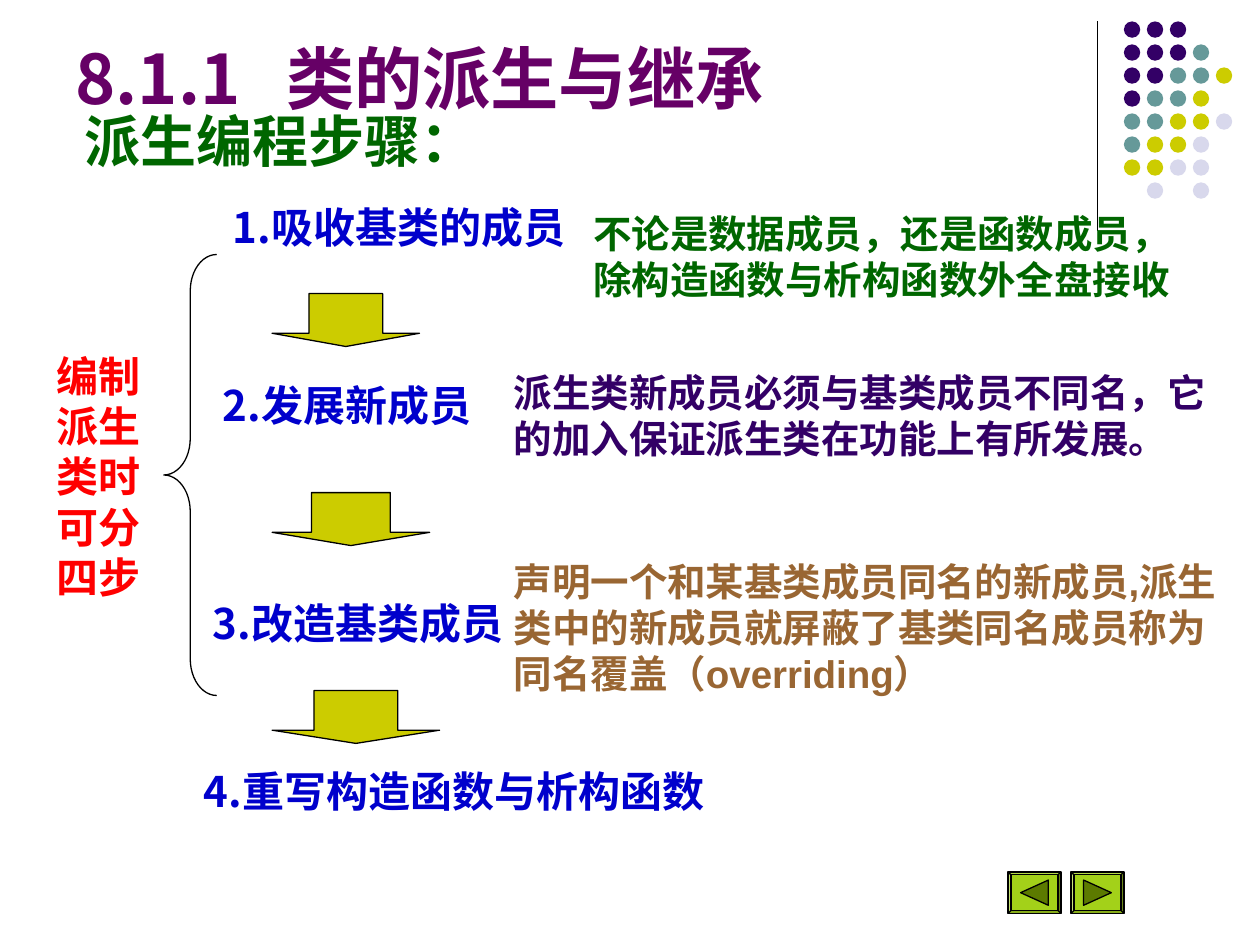
from dataclasses import dataclass
from typing import NamedTuple

from lxml import etree
from pptx import Presentation
from pptx.dml.color import RGBColor
from pptx.enum import shapes, text
from pptx.oxml import ns
from pptx.util import Inches, Pt


@dataclass(frozen=True)
class Theme:
    purple: str = "660066"
    violet: str = "330066"
    green: str = "006600"
    blue: str = "0000CC"
    red: str = "FF0000"
    brown: str = "996633"
    teal: str = "669999"
    olive: str = "CCCC00"
    lilac: str = "D8D8EC"
    lime: str = "99CC00"
    dark_lime: str = "5C7A00"
    black: str = "000000"
    heading: str = "Noto Sans CJK SC"
    body: str = "Arial"
    title_size: float = 39
    subtitle_size: float = 32
    step_size: float = 24
    note_size: float = 22
    line_width: float = 0.75


class Box(NamedTuple):
    left: float
    top: float
    width: float
    height: float

    def lengths(self):
        return [Inches(side) for side in self]


class Label(NamedTuple):
    words: str
    box: Box
    size: float
    color: str
    font: str
    wrap: bool = True


THEME = Theme()
LABELS = [
    Label("派生编程步骤：", Box(0.57, 0.8, 3.31, 0.64),
          THEME.subtitle_size, THEME.green, THEME.body, False),
    Label("编制派生类时可分四步", Box(0.35, 2.73, 0.88, 2.1),
          THEME.step_size, THEME.red, THEME.heading),
    Label("不论是数据成员，还是函数成员，除构造函数与析构函数外全盘接收",
          Box(4.61, 1.62, 4.9, 0.84), THEME.note_size, THEME.green, THEME.body),
    Label("派生类新成员必须与基类成员不同名，它的加入保证派生类在功能上有所发展。",
          Box(3.98, 2.88, 5.69, 0.84), THEME.note_size, THEME.violet, THEME.body),
    Label("声明一个和某基类成员同名的新成员,派生类中的新成员就屏蔽了基类同名成员称为同名覆盖（overriding）",
          Box(3.98, 4.38, 5.93, 1.2), THEME.note_size, THEME.brown, THEME.body),
]
STEPS = [
    ("1.吸收基类的成员", Box(1.75, 1.55, 2.99, 0.5)),
    ("2.发展新成员", Box(1.67, 2.96, 2.32, 0.5)),
    ("3.改造基类成员", Box(1.59, 4.69, 2.66, 0.5)),
    ("4.重写构造函数与析构函数", Box(1.52, 6.03, 4.32, 0.5)),
]
ARROWS = [Box(2.16, 2.33, 1.17, 0.42), Box(2.16, 3.91, 1.25, 0.42),
          Box(2.16, 5.48, 1.33, 0.42)]
DOT_ROWS = ["VVV", "VVVT", "VVTTO", "VTTO", "TTOOL", "TOOL", "OOLL", " L L"]
DOT_COLORS = {"V": THEME.violet, "T": THEME.teal,
              "O": THEME.olive, "L": THEME.lilac}
DOT_PITCH = 0.73 / 4


def write(frame, words: str, *, size: float, color: str, font: str,
          wrap: bool = True, anchor=text.MSO_ANCHOR.TOP, tab=None) -> None:
    frame.word_wrap = wrap
    frame.vertical_anchor = anchor
    paragraph = frame.paragraphs[0]
    paragraph.alignment = text.PP_ALIGN.LEFT
    if tab is not None:
        stops = etree.SubElement(paragraph._p.get_or_add_pPr(), ns.qn("a:tabLst"))
        etree.SubElement(stops, ns.qn("a:tab"), pos=str(Inches(tab)), algn="l")
    run = paragraph.add_run()
    run.text = words
    run.font.size = Pt(size)
    run.font.bold = True
    run.font.color.rgb = RGBColor.from_string(color)
    run.font.name = font
    # Chinese glyphs always come from the heading face
    etree.SubElement(run._r.get_or_add_rPr(), ns.qn("a:ea"), typeface=THEME.heading)


def add_label(slide, label: Label) -> None:
    textbox = slide.shapes.add_textbox(*label.box.lengths())
    write(textbox.text_frame, label.words, size=label.size, color=label.color,
          font=label.font, wrap=label.wrap)


def paint(shape, fill=None, line=None) -> None:
    shape.shadow.inherit = False
    if fill:
        shape.fill.solid()
        shape.fill.fore_color.rgb = RGBColor.from_string(fill)
    else:
        shape.fill.background()
    if line:
        shape.line.color.rgb = RGBColor.from_string(line)
        shape.line.width = Pt(THEME.line_width)
    else:
        shape.line.fill.background()


def add_preset(slide, kind, box: Box, fill=None, line=None, adjust=()):
    shape = slide.shapes.add_shape(kind, *box.lengths())
    for index, value in enumerate(adjust):
        shape.adjustments[index] = value
    paint(shape, fill, line)
    return shape


def add_nav_button(slide, left: float, direction: int) -> None:
    """Bevelled button; direction is -1 for back and 1 for forward."""
    box = Box(left, 6.92, 0.42, 0.33)
    button = add_preset(slide, shapes.MSO_SHAPE.BEVEL, box, THEME.lime,
                        THEME.black, [0.07])
    color = button.fill._xPr.find(".//" + ns.qn("a:srgbClr"))
    etree.SubElement(color, ns.qn("a:alpha"), val="90000")
    middle_x, middle_y = left + box.width / 2, box.top + box.height / 2
    base, tip = middle_x - 0.11 * direction, middle_x + 0.11 * direction
    corners = [(Inches(x), Inches(y)) for x, y in
               [(base, middle_y - 0.1), (tip, middle_y), (base, middle_y + 0.1)]]
    builder = slide.shapes.build_freeform(*corners[0])
    builder.add_line_segments(corners[1:], close=True)
    paint(builder.convert_to_shape(), THEME.dark_lime, THEME.black)


def add_corner_decoration(slide) -> None:
    rule = slide.shapes.add_connector(
        shapes.MSO_CONNECTOR.STRAIGHT,
        Inches(8.71), Inches(0.17), Inches(8.71), Inches(1.83))
    rule.line.color.rgb = RGBColor.from_string(THEME.black)
    rule.line.width = Pt(THEME.line_width)
    etree.SubElement(rule._element.spPr, ns.qn("a:effectLst"))
    for row, pattern in enumerate(DOT_ROWS):
        for column, key in enumerate(pattern):
            if key in DOT_COLORS:
                dot = Box(8.92 + column * DOT_PITCH, 0.17 + row * DOT_PITCH, 0.13, 0.13)
                add_preset(slide, shapes.MSO_SHAPE.OVAL, dot, DOT_COLORS[key])


def main() -> None:
    deck = Presentation()
    deck.slide_width, deck.slide_height = Inches(10), Inches(7.5)
    slide = deck.slides.add_slide(deck.slide_layouts[5])
    add_corner_decoration(slide)

    # Title
    title = slide.shapes.title
    title.left, title.top, title.width, title.height = Box(0.5, 0.13, 6.55, 0.86).lengths()
    write(title.text_frame, "8.1.1\t类的派生与继承", size=THEME.title_size,
          color=THEME.purple, font=THEME.heading,
          anchor=text.MSO_ANCHOR.BOTTOM, tab=1.67)

    # Four steps, joined by arrows and a brace
    add_preset(slide, shapes.MSO_SHAPE.LEFT_BRACE, Box(1.3, 2.02, 0.42, 3.5),
               line=THEME.black, adjust=[0.69, 0.5])
    for arrow in ARROWS:
        add_preset(slide, shapes.MSO_SHAPE.DOWN_ARROW, arrow, THEME.olive,
                   THEME.black, [0.5, 0.25])
    for words, box in STEPS:
        add_label(slide, Label(words, box, THEME.step_size, THEME.blue,
                               THEME.heading, False))

    # Subtitle, side caption and notes
    for label in LABELS:
        add_label(slide, label)

    # Navigation
    add_nav_button(slide, 8.0, -1)
    add_nav_button(slide, 8.5, 1)
    deck.save("out.pptx")


if __name__ == "__main__":
    main()
